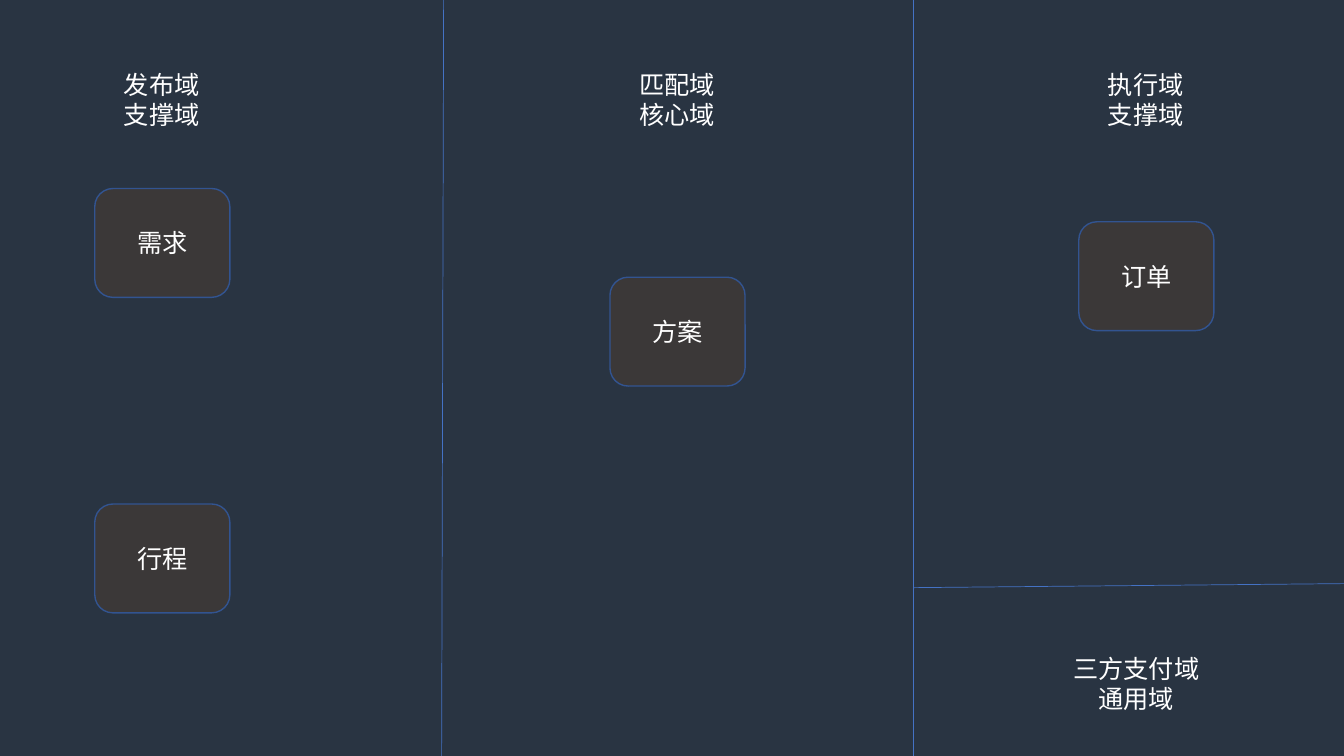
import pptx
import pptx.util
import pptx.dml.color
import pptx.enum.shapes
import pptx.enum.text
import pptx.oxml.ns
import lxml.etree

Inches, Pt = pptx.util.Inches, pptx.util.Pt
RGBColor = pptx.dml.color.RGBColor
ALIGN = pptx.enum.text.PP_ALIGN
qn = pptx.oxml.ns.qn

BACKGROUND = RGBColor(0x29, 0x34, 0x42)
DIVIDER = RGBColor(0x44, 0x72, 0xC4)
BOX_FILL = RGBColor(0x3B, 0x38, 0x38)
BOX_LINE = RGBColor(0x32, 0x54, 0x91)
WHITE = RGBColor(0xFF, 0xFF, 0xFF)
FONT = "Noto Sans CJK SC"

WIDTH, HEIGHT = 13.33, 7.5
PUBLISH, MATCH, EXECUTE, PAYMENT = 1.61, 6.72, 11.37, 11.27  # centres of the domains
EXECUTE_LEFT = 9.06
HEADING_TOP, HEADING_HEIGHT = 0.64, 0.71
BOX_WIDTH, BOX_HEIGHT = 1.34, 1.08


def add_run(p, text):
    r = p.add_run()
    r.text = text
    r.font.size = Pt(18)
    r.font.name = FONT
    r.font.color.rgb = WHITE
    ea = lxml.etree.SubElement(r.font._element, qn("a:ea"))
    ea.set("typeface", FONT)


def add_divider(s, x1, y1, x2, y2):
    line = s.shapes.add_connector(
        pptx.enum.shapes.MSO_CONNECTOR.STRAIGHT,
        Inches(x1), Inches(y1), Inches(x2), Inches(y2))
    line.line.color.rgb = DIVIDER
    line.line.width = Pt(0.5)
    lxml.etree.SubElement(line._element.spPr, qn("a:effectLst"))


def add_heading(s, center, top, width, lines, align=ALIGN.LEFT):
    sp = s.shapes.add_textbox(Inches(center - width / 2), Inches(top),
                              Inches(width), Inches(HEADING_HEIGHT))
    tf = sp.text_frame
    tf.word_wrap = False
    tf.auto_size = pptx.enum.text.MSO_AUTO_SIZE.SHAPE_TO_FIT_TEXT
    for i, text in enumerate(lines):
        p = tf.add_paragraph() if i else tf.paragraphs[0]
        p.alignment = align
        add_run(p, text)


def add_entity(s, center, top, text):
    sp = s.shapes.add_shape(
        pptx.enum.shapes.MSO_SHAPE.ROUNDED_RECTANGLE,
        Inches(center - BOX_WIDTH / 2), Inches(top), Inches(BOX_WIDTH), Inches(BOX_HEIGHT))
    sp.shadow.inherit = False
    sp.fill.solid()
    sp.fill.fore_color.rgb = BOX_FILL
    sp.line.color.rgb = BOX_LINE
    sp.line.width = Pt(1)
    tf = sp.text_frame
    tf.vertical_anchor = pptx.enum.text.MSO_ANCHOR.MIDDLE
    p = tf.paragraphs[0]
    p.alignment = ALIGN.CENTER
    add_run(p, text)


def main():
    prs = pptx.Presentation()
    prs.slide_width, prs.slide_height = Inches(WIDTH), Inches(HEIGHT)
    s = prs.slides.add_slide(prs.slide_layouts[6])
    s.background.fill.solid()
    s.background.fill.fore_color.rgb = BACKGROUND

    add_divider(s, 4.4, 0, 4.38, HEIGHT)
    add_divider(s, EXECUTE_LEFT, 0, EXECUTE_LEFT, HEIGHT)

    for center, lines in ((PUBLISH, ("发布域", "支撑域")),
                          (MATCH, ("匹配域", "核心域")),
                          (EXECUTE, ("执行域", "支撑域"))):
        add_heading(s, center, HEADING_TOP, 0.96, lines)

    for center, top, text in ((PUBLISH, 1.87, "需求"), (PUBLISH, 5, "行程"),
                              (EXECUTE, 2.2, "订单"), (MATCH, 2.75, "方案")):
        add_entity(s, center, top, text)

    add_divider(s, EXECUTE_LEFT, 5.83, WIDTH, 5.79)
    add_heading(s, PAYMENT, 6.43, 1.46, ("三方支付域", "通用域"), ALIGN.CENTER)
    prs.save("out.pptx")


if __name__ == "__main__":
    main()
